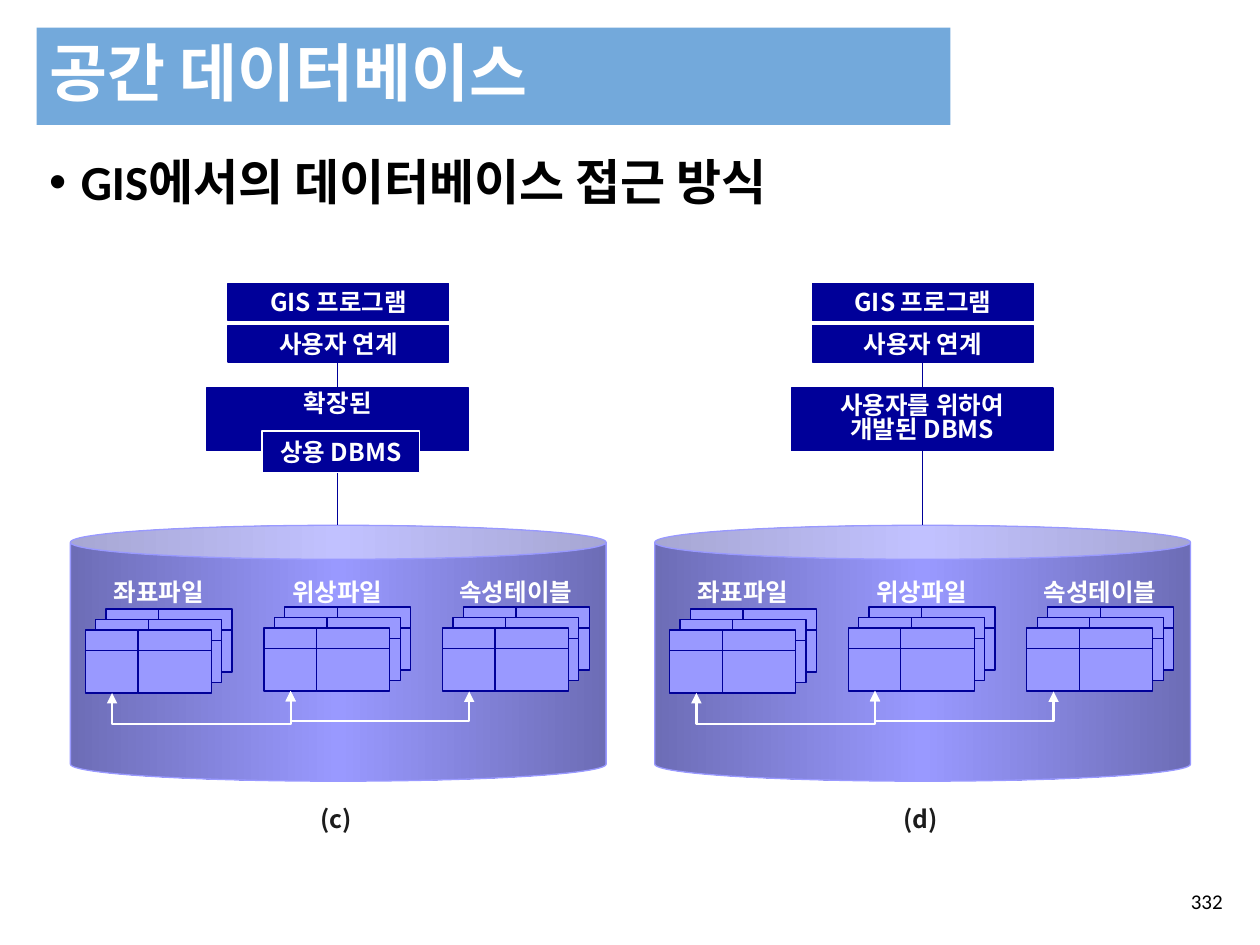
from dataclasses import dataclass
from typing import Optional

from lxml.etree import SubElement
from pptx import Presentation
from pptx.dml.color import RGBColor as RGB
from pptx.enum.shapes import MSO_CONNECTOR as LineKind, MSO_SHAPE as Geo
from pptx.enum.text import MSO_ANCHOR as Anchor, PP_ALIGN as Align
from pptx.oxml.ns import qn
from pptx.util import Cm, Pt


@dataclass(frozen=True)
class Theme:
    banner: str = "5B9BD5"
    navy: str = "000099"
    lilac: str = "9999FF"
    white: str = "FFFFFF"
    black: str = "000000"
    ink: str = "1C1C1C"
    latin: str = "Calibri"
    korean: str = "Noto Sans CJK KR"
    title: int = 36
    body: int = 28
    label: int = 14
    number: int = 12
    thin: float = 0.75
    arrow: float = 1.25


@dataclass(frozen=True)
class Box:
    x: float
    y: float
    w: float
    h: float

    def shifted(self, dx: float) -> "Box":
        return Box(self.x + dx, self.y, self.w, self.h)

    def lengths(self) -> tuple:
        return Cm(self.x), Cm(self.y), Cm(self.w), Cm(self.h)


@dataclass(frozen=True)
class Stack:
    label: str
    x: float
    y: float
    label_w: float


@dataclass(frozen=True)
class Link:
    x: float
    y: float
    rise: float
    bend: int
    turn: int
    flip_v: bool


@dataclass(frozen=True)
class Panel:
    dx: float
    caption: str
    dbms: tuple
    inner: Optional[str] = None


T = Theme()
SPAN = 3.6
SHEET_STEP = 0.21
COLS = (1.06, 1.48)
ROWS = (0.42, 0.85)
AXIS = 6.81
STACKS = (
    Stack("좌표파일", 1.72, 12.7, 2.49),
    Stack("위상파일", 1.72 + SPAN, 12.66, 2.49),
    Stack("속성테이블", 1.72 + 2 * SPAN, 12.66, 2.97),
)
LINKS = (
    Link(2.26, 13.93, 0.04, -1575000, 90, True),
    Link(2.26 + SPAN, 13.93, 0.01, 6000000, 270, False),
)
PANELS = (
    Panel(0, "(c)", ("확장된",), "상용 DBMS"),
    Panel(11.78, "(d)", ("사용자를 위하여", "개발된 DBMS")),
)


def add_run(p, text: str, size: int, color: str, font: str, bold: bool = True) -> None:
    r = p.add_run()
    r.text = text
    f = r.font
    f.size, f.bold, f.name = Pt(size), bold, font
    f.color.rgb = RGB.from_string(color)
    SubElement(r.font._element, qn("a:ea"), typeface=T.korean)


def write(sp, lines: tuple, color: str, size: int = T.label, font: str = T.korean,
          align=Align.CENTER, anchor=Anchor.MIDDLE, wrap: bool = False,
          bold: bool = True):
    tf = sp.text_frame
    tf.word_wrap, tf.vertical_anchor = wrap, anchor
    for i, line in enumerate(lines):
        p = tf.paragraphs[0] if i == 0 else tf.add_paragraph()
        p.alignment = align
        if len(lines) > 1:
            p.line_spacing = 0.82
        add_run(p, line, size, color, font, bold)
    return tf


def add_text(s, box: Box, text: str, color: str, **style):
    return write(s.shapes.add_textbox(*box.lengths()), (text,), color, **style)


def add_box(s, box: Box, fill: str, line: str, kind=Geo.RECTANGLE):
    sp = s.shapes.add_shape(kind, *box.lengths())
    sp.shadow.inherit = False
    sp.fill.solid()
    sp.fill.fore_color.rgb = RGB.from_string(fill)
    sp.line.color.rgb = RGB.from_string(line)
    sp.line.width = Pt(T.thin)
    return sp


def add_line(s, kind, x1: float, y1: float, x2: float, y2: float, color: str, width: float):
    c = s.shapes.add_connector(kind, Cm(x1), Cm(y1), Cm(x2), Cm(y2))
    c.line.color.rgb = RGB.from_string(color)
    c.line.width = Pt(width)
    SubElement(c._element.spPr, qn("a:effectLst"))
    return c


def add_link(s, link: Link, dx: float) -> None:
    left = link.x + dx + (SPAN - link.rise) / 2
    top = link.y + (link.rise - SPAN) / 2
    c = add_line(s, LineKind.ELBOW, left, top, left + link.rise, top + SPAN,
                 T.white, T.arrow)
    pr = c._element.spPr
    xfrm = pr.find(qn("a:xfrm"))
    xfrm.set("rot", str(link.turn * 60000))
    xfrm.set("flipH", "1")
    xfrm.set("flipV", str(int(link.flip_v)))
    SubElement(pr.find(qn("a:prstGeom")).find(qn("a:avLst")), qn("a:gd"),
               name="adj1", fmla=f"val {link.bend}")
    for end in ("a:headEnd", "a:tailEnd"):
        SubElement(pr.find(qn("a:ln")), qn(end), type="triangle")


def add_stack(s, stack: Stack, dx: float) -> None:
    for depth in (2, 1, 0):
        x = stack.x + dx + depth * SHEET_STEP
        for i, w in enumerate(COLS):
            y = stack.y - depth * SHEET_STEP
            for h in ROWS:
                add_box(s, Box(x + i * COLS[0], y, w, h), T.lilac, T.navy)
                y += h
    label = Box(stack.x + 1.48 - stack.label_w / 2 + dx, 11.51, stack.label_w, 0.84)
    add_text(s, label, stack.label, T.white)


def add_cylinder(s, box: Box) -> None:
    sp = add_box(s, box, T.lilac, T.lilac, Geo.CAN)
    sp.adjustments[0] = 0.133
    sp.fill.gradient()
    sp.fill.gradient_angle = 0
    stops = sp._element.spPr.find(qn("a:gradFill")).find(qn("a:gsLst"))
    for stop in list(stops):
        stops.remove(stop)
    for pos, dark in ((0, True), (50000, False), (100000, True)):
        stop = SubElement(stops, qn("a:gs"), pos=str(pos))
        color = SubElement(stop, qn("a:srgbClr"), val=T.lilac)
        if dark:
            SubElement(color, qn("a:shade"), val="46275")


def add_panel(s, panel: Panel) -> None:
    dx = panel.dx
    for y, text in ((5.72, "GIS 프로그램"), (6.56, "사용자 연계")):
        write(add_box(s, Box(4.6 + dx, y, 4.45, 0.74), T.navy, T.navy), (text,), T.white)
    dbms = add_box(s, Box(4.17 + dx, 7.82, 5.28, 1.27), T.navy, T.navy)
    tf = write(dbms, panel.dbms, T.white, anchor=Anchor.TOP if panel.inner else Anchor.MIDDLE)
    tf.margin_top = tf.margin_bottom = Cm(0)
    add_cylinder(s, Box(1.42 + dx, 10.59, 10.8, 5.16))
    for y1, y2 in ((7.31, 7.82), (9.09, 10.59)):
        add_line(s, LineKind.STRAIGHT, AXIS + dx, y1, AXIS + dx, y2, T.navy, T.thin)
    for stack in STACKS:
        add_stack(s, stack, dx)
    if panel.inner:
        inner = add_box(s, Box(5.28 + dx, 8.69, 3.18, 0.84), T.navy, T.white)
        write(inner, (panel.inner,), T.white)
    for link in LINKS:
        add_link(s, link, dx)
    add_text(s, Box(5.94, 16.08, 1.68, 0.84).shifted(dx), panel.caption, T.ink, wrap=True)


def add_heading(s) -> None:
    area = Box(0.74, 0.56, 18.42, 1.96)
    band = add_box(s, area, T.banner, T.banner)
    band.line.fill.background()
    fill = band._element.spPr.find(qn("a:solidFill"))
    SubElement(fill.find(qn("a:srgbClr")), qn("a:alpha"), val="85000")
    tf = add_text(s, area, "공간 데이터베이스", T.white, size=T.title, font=T.latin,
                  align=Align.LEFT, wrap=True)
    tf.paragraphs[0].line_spacing = 0.9
    tf = add_text(s, Box(0.74, 3.07, 23.62, 13.92), "GIS에서의 데이터베이스 접근 방식",
                  T.black, size=T.body, font=T.latin, align=Align.LEFT,
                  anchor=Anchor.TOP, wrap=True)
    p = tf.paragraphs[0]
    p.line_spacing = 0.9
    pr = p._p.get_or_add_pPr()
    pr.set("marL", str(Cm(0.64)))
    pr.set("indent", str(Cm(-0.64)))
    SubElement(pr, qn("a:buFont"), typeface="Arial")
    SubElement(pr, qn("a:buChar"), char="•")


def main() -> None:
    prs = Presentation()
    prs.slide_width, prs.slide_height = Cm(25.4), Cm(19.05)
    s = prs.slides.add_slide(prs.slide_layouts[6])
    add_heading(s)
    add_text(s, Box(19.18, 17.65, 5.72, 1.02), "332", T.black, size=T.number,
             font=T.latin, align=Align.RIGHT, wrap=True, bold=False)
    for panel in PANELS:
        add_panel(s, panel)
    prs.save("out.pptx")


if __name__ == "__main__":
    main()
